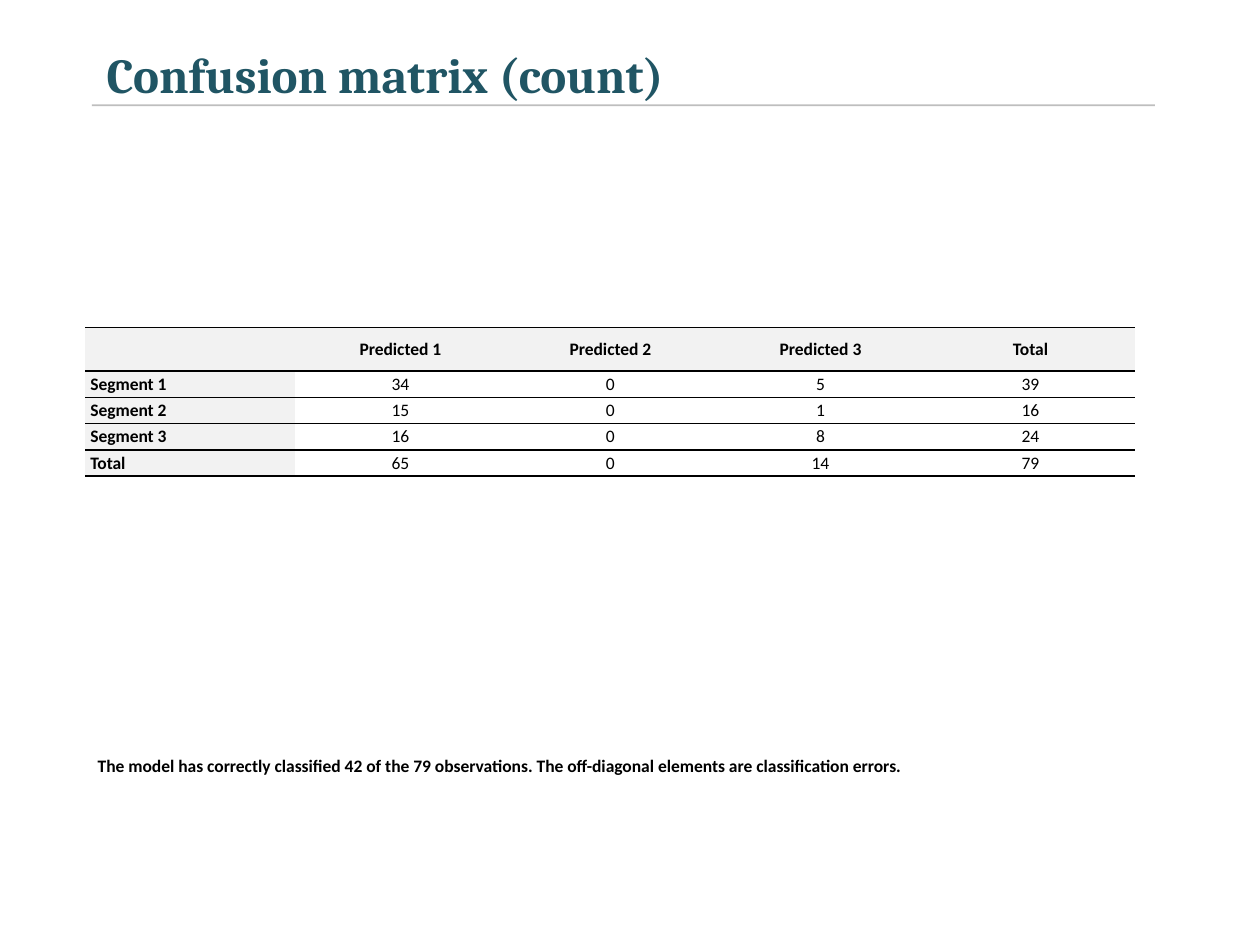
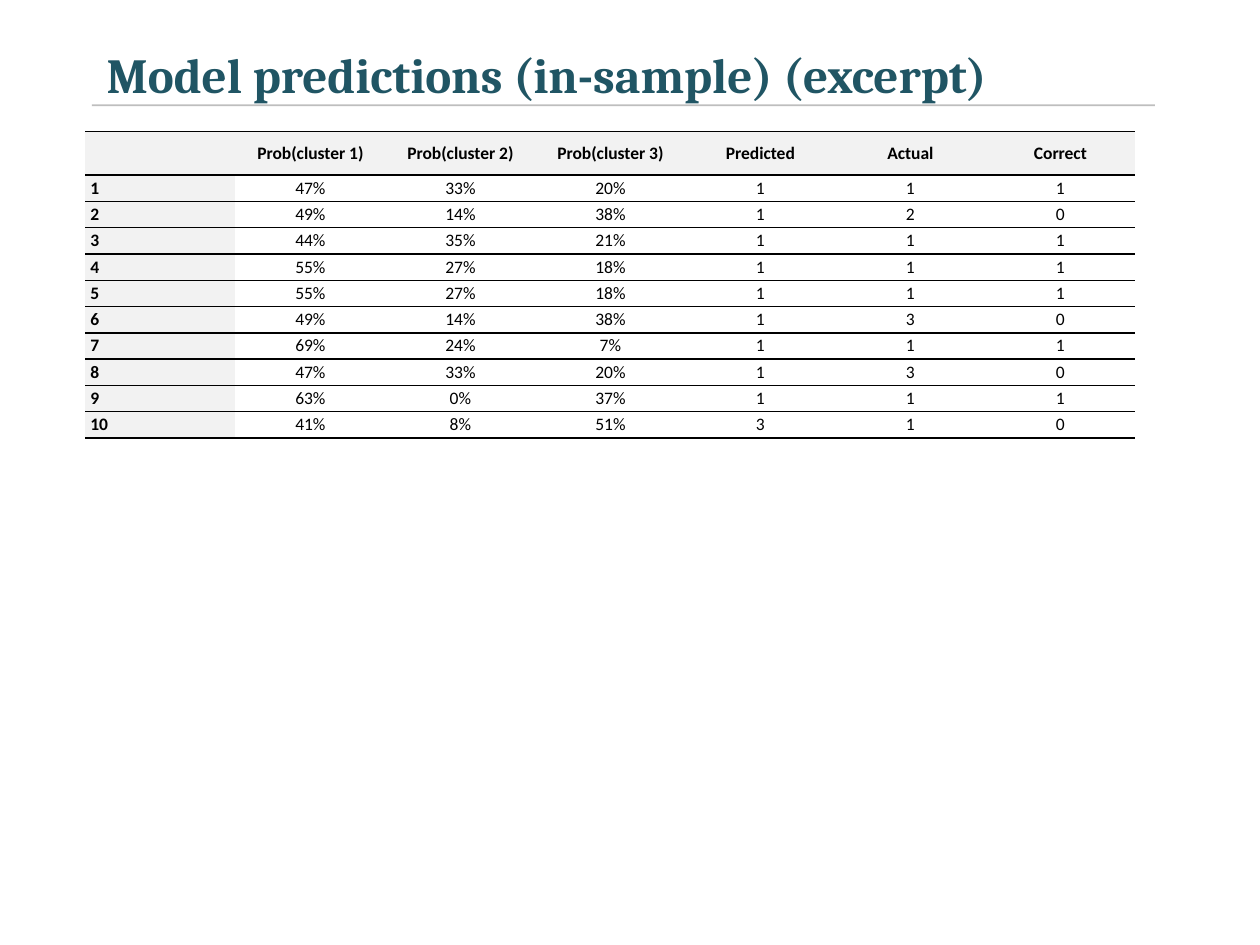
from dataclasses import dataclass
from typing import Optional

from lxml.etree import SubElement
from pptx import Presentation
from pptx.dml.color import RGBColor
from pptx.enum.shapes import MSO_CONNECTOR
from pptx.enum.text import MSO_ANCHOR, PP_ALIGN
from pptx.oxml.ns import qn
from pptx.util import Cm, Length, Pt


@dataclass(frozen=True)
class Theme:
    title_color: str = "205564"
    ink: str = "000000"
    rule: str = "7F7F7F"
    heading_fill: str = "F2F2F2"
    value_fill: str = "FFFFFF"
    title_font: str = "Cambria"
    body_font: str = "Calibri"
    title_size: int = 28
    body_size: int = 10
    line_width: int = 1


@dataclass(frozen=True)
class TableSlide:
    title: str
    table_top: Length
    headings: list[str]
    rows: list[list[str]]
    remark: Optional[str] = None


THEME = Theme()
TABLE_LEFT, TABLE_WIDTH = Cm(1.72), Cm(21.17)
HEADING_HEIGHT, ROW_HEIGHT = Cm(0.88), Cm(0.53)
CELL_MARGIN, LABEL_MARGIN = Cm(0.05), Cm(0.1)

SLIDES = [
    TableSlide(
        "Confusion matrix (count)",
        Cm(6.6),
        ["", "Predicted 1", "Predicted 2", "Predicted 3", "Total"],
        [
            ["Segment 1", "34", "0", "5", "39"],
            ["Segment 2", "15", "0", "1", "16"],
            ["Segment 3", "16", "0", "8", "24"],
            ["Total", "65", "0", "14", "79"],
        ],
        "The model has correctly classified 42 of the 79 observations. "
        "The off-diagonal elements are classification errors.",
    ),
    TableSlide(
        "Model predictions (in-sample) (excerpt)",
        Cm(2.65),
        ["", "Prob(cluster 1)", "Prob(cluster 2)", "Prob(cluster 3)",
         "Predicted", "Actual", "Correct"],
        [
            ["1", "47%", "33%", "20%", "1", "1", "1"],
            ["2", "49%", "14%", "38%", "1", "2", "0"],
            ["3", "44%", "35%", "21%", "1", "1", "1"],
            ["4", "55%", "27%", "18%", "1", "1", "1"],
            ["5", "55%", "27%", "18%", "1", "1", "1"],
            ["6", "49%", "14%", "38%", "1", "3", "0"],
            ["7", "69%", "24%", "7%", "1", "1", "1"],
            ["8", "47%", "33%", "20%", "1", "3", "0"],
            ["9", "63%", "0%", "37%", "1", "1", "1"],
            ["10", "41%", "8%", "51%", "3", "1", "0"],
        ],
    ),
]


def write(frame, text: str, *, size: int = THEME.body_size,
          font: str = THEME.body_font, color: str = THEME.ink,
          bold: bool = False, align: PP_ALIGN = PP_ALIGN.LEFT) -> None:
    paragraph = frame.paragraphs[0]
    paragraph.alignment = align
    run = paragraph.add_run()
    run.text = text
    run.font.size = Pt(size)
    run.font.name = font
    run.font.bold = bold
    run.font.color.rgb = RGBColor.from_string(color)


def add_text(slide, left: Length, top: Length, width: Length, height: Length,
             text: str, margin_top: Length = Cm(0.13), **style) -> None:
    frame = slide.shapes.add_textbox(left, top, width, height).text_frame
    frame.word_wrap = True
    frame.margin_top = margin_top
    write(frame, text, **style)


def add_title(slide, title: str) -> None:
    """Add the title and the half-transparent rule below it."""
    add_text(slide, Cm(1.9), Cm(0), Cm(21.17), Cm(2.12), title,
             margin_top=Cm(0.9), size=THEME.title_size,
             font=THEME.title_font, color=THEME.title_color, bold=True)
    rule = slide.shapes.add_connector(
        MSO_CONNECTOR.STRAIGHT, Cm(1.85), Cm(2.12), Cm(23.28), Cm(2.12))
    rule.line.width = Pt(THEME.line_width)
    rule.line.color.rgb = RGBColor.from_string(THEME.rule)
    properties = rule._element.spPr
    color = properties.find(".//" + qn("a:srgbClr"))
    SubElement(color, qn("a:alpha"), val="50000")
    SubElement(properties, qn("a:effectLst"))


def set_borders(cell) -> None:
    """Rule a cell above and below, and leave its sides open."""
    properties = cell._tc.get_or_add_tcPr()
    for side in ("a:lnL", "a:lnR"):
        SubElement(SubElement(properties, qn(side)), qn("a:noFill"))
    for side in ("a:lnT", "a:lnB"):
        line = SubElement(properties, qn(side), w=str(Pt(THEME.line_width)))
        fill = SubElement(line, qn("a:solidFill"))
        SubElement(fill, qn("a:srgbClr"), val=THEME.ink)


def fill_cell(cell, text: str, is_heading: bool, is_label: bool) -> None:
    set_borders(cell)
    cell.fill.solid()
    cell.fill.fore_color.rgb = RGBColor.from_string(
        THEME.heading_fill if is_heading or is_label else THEME.value_fill)
    cell.vertical_anchor = MSO_ANCHOR.MIDDLE
    cell.margin_top = cell.margin_bottom = CELL_MARGIN
    cell.margin_left = LABEL_MARGIN if is_label else Cm(0)
    cell.margin_right = CELL_MARGIN if is_label else Cm(0)
    if text:
        write(cell.text_frame, text, bold=is_heading or is_label,
              align=PP_ALIGN.LEFT if is_label else PP_ALIGN.CENTER)


def add_data_table(slide, content: TableSlide) -> None:
    lines = [content.headings, *content.rows]
    height = HEADING_HEIGHT + ROW_HEIGHT * len(content.rows)
    table = slide.shapes.add_table(
        len(lines), len(content.headings),
        TABLE_LEFT, content.table_top, TABLE_WIDTH, height).table
    table.first_row = table.horz_banding = False
    for row, line in enumerate(lines):
        table.rows[row].height = ROW_HEIGHT if row else HEADING_HEIGHT
        for column, text in enumerate(line):
            fill_cell(table.cell(row, column), text, row == 0, column == 0)


def main() -> None:
    deck = Presentation()
    deck.slide_width, deck.slide_height = Cm(25.4), Cm(19.05)
    blank = deck.slide_layouts[6]
    for content in SLIDES:
        slide = deck.slides.add_slide(blank)
        add_title(slide, content.title)
        add_data_table(slide, content)
        if content.remark:
            add_text(slide, TABLE_LEFT, Cm(15.09), TABLE_WIDTH, Cm(2.65),
                     content.remark, bold=True)
    deck.save("out.pptx")


if __name__ == "__main__":
    main()
